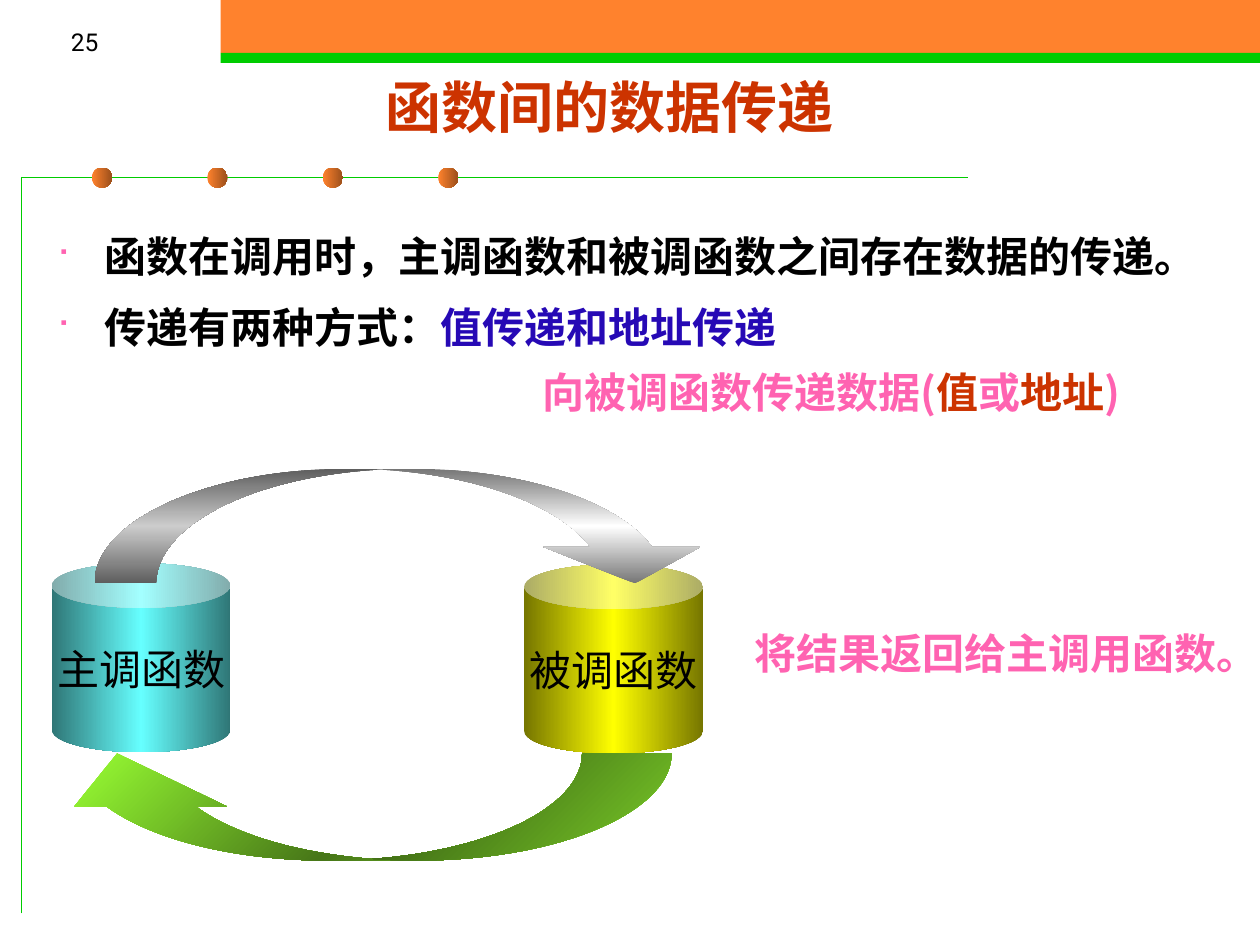
import math

import pptx
import pptx.dml.color
import pptx.enum.shapes
import pptx.enum.text
import pptx.oxml
import pptx.oxml.ns
import pptx.util
from pptx.util import Inches

SHAPE = pptx.enum.shapes.MSO_SHAPE
ALIGN = pptx.enum.text.PP_ALIGN
ANCHOR = pptx.enum.text.MSO_ANCHOR
CJK, LATIN = "Noto Sans CJK SC", "Roboto"
NS = pptx.oxml.ns.nsdecls("a")
UNITS = 1000  # path units per inch

COLORS = {
    "orange": "FF822D", "green": "00CC00", "black": "000000",
    "red": "CC3300", "pink": "FF63B1", "blue": "2609B5",
}
BALL = ["FF822D", "9B4F1B"]
BARS = [("orange", (1.75, 0, 8.25, 0.42)), ("green", (1.75, 0.42, 8.25, 0.08))]
CORNER_RULE = [(0.17, 7.25), (0.17, 1.41), (7.68, 1.41)]

# Each paragraph is a list of (text, colour) spans.
TEXTS = [
    {"at": (0, 0, 0.88, 0.5), "paras": [[("25", "black")]], "size": 14,
     "font": LATIN, "bold": False, "align": ALIGN.RIGHT, "anchor": ANCHOR.BOTTOM},
    {"at": (0.51, 0.52, 8.66, 0.65), "paras": [[("函数间的数据传递", "red")]],
     "size": 32, "align": ALIGN.CENTER, "anchor": ANCHOR.MIDDLE},
    {"at": (0.35, 1.7, 9.29, 5.12), "font": LATIN, "bullets": True, "paras": [
        [("函数在调用时，主调函数和被调函数之间存在数据的传递。", "black")],
        [("传递有两种方式：", "black"), ("值传递和地址传递", "blue")]]},
]
LABELS = [
    ((4.21, 2.86, 5.24, 0.57), [("向被调函数传递数据(", "pink"), ("值", "red"),
                                ("或", "pink"), ("地址", "red"), (")", "pink")]),
    ((5.89, 4.93, 4.38, 0.67), [("将结果返回给主调用函数。", "pink")]),
]
CANS = [
    ("主调函数", (0.41, 4.47), ["2F7676", "66FFFF", "2F7676"]),
    ("被调函数", (4.16, 4.48), ["767600", "FFFF00", "767600"]),
]
# Each ribbon follows two equal ellipses; head points run outer, tip, inner.
RADIUS = 2.02
ARROWS = [
    {"tail": 2.77, "head": 3.26, "base": 4.63, "rise": 0.91, "angle": 90,
     "points": [(5.56, 4.34), (5.04, 4.63), (4.31, 4.34)],
     "stops": ["767676", "FFFFFF", "767676"]},
    {"tail": 3.31, "head": 2.6, "base": 5.98, "rise": -0.85, "angle": 45,
     "points": [(0.59, 6.4), (0.93, 5.98), (1.8, 6.4)],
     "stops": ["99FF33", "477618", "99FF33"]},
]


def rgb(name):
    return pptx.dml.color.RGBColor.from_string(COLORS[name])


def fill_gradient(shape, stops, angle=0):
    shape.shadow.inherit = False
    shape.line.fill.background()
    shape.fill.background()
    gaps = len(stops) - 1
    marks = "".join(f'<a:gs pos="{100000 * i // gaps}"><a:srgbClr val="{color}"/></a:gs>'
                    for i, color in enumerate(stops))
    gradient = pptx.oxml.parse_xml(
        f'<a:gradFill {NS} rotWithShape="1"><a:gsLst>{marks}</a:gsLst>'
        f'<a:lin ang="{angle * 60000}" scaled="0"/></a:gradFill>')
    properties = shape.fill._xPr
    properties.replace(properties.find(pptx.oxml.ns.qn("a:noFill")), gradient)


def add_bullet(para):
    properties = para._p.get_or_add_pPr()
    properties.set("marL", str(Inches(0.38)))
    properties.set("indent", str(-Inches(0.38)))
    for item in (f'<a:buClr {NS}><a:srgbClr val="{COLORS["pink"]}"/></a:buClr>',
                 f'<a:buSzPct {NS} val="75000"/>',
                 f'<a:buFont {NS} typeface="Wingdings"/>',
                 f'<a:buChar {NS} char="■"/>'):
        properties.append(pptx.oxml.parse_xml(item))


def write(frame, paras, size=24, font=CJK, bold=True, align=ALIGN.LEFT,
          anchor=ANCHOR.TOP, bullets=False, wrap=True):
    frame.word_wrap = wrap
    frame.vertical_anchor = anchor
    for i, spans in enumerate(paras):
        para = frame.add_paragraph() if i else frame.paragraphs[0]
        para.alignment = align
        if bullets:
            add_bullet(para)
            para.line_spacing = 1.2
            para.space_before = pptx.util.Pt(6 if i else 0)
        for text, color in spans:
            span = para.add_run()
            span.text = text
            looks = {"name": font, "size": pptx.util.Pt(size), "bold": bold}
            for key, value in looks.items():
                setattr(span.font, key, value)
            span.font.color.rgb = rgb(color)
            span._r.get_or_add_rPr().append(
                pptx.oxml.parse_xml(f'<a:ea {NS} typeface="{CJK}"/>'))


def add_outline(page, points, close):
    scaled = [(round(x * UNITS), round(y * UNITS)) for x, y in points]
    builder = page.shapes.build_freeform(*scaled[0], scale=Inches(1) / UNITS)
    builder.add_line_segments(scaled[1:], close=close)
    shape = builder.convert_to_shape()
    shape.shadow.inherit = False
    return shape


def add_arrow(page, arrow):
    """Draw a ribbon whose two halves cross where the ellipses meet."""
    tail, head, base, rise, points = (
        arrow[key] for key in ("tail", "head", "base", "rise", "points"))
    ahead = math.copysign(1, head - tail)

    def arc(center, side, start, end):
        """Return the four Bezier points of a piece of an ellipse."""
        pull = 4 / 3 * math.tan((end - start) / 4)
        units = [(math.cos(t), math.sin(t)) for t in (start, end)]
        (c0, s0), (c1, s1) = units
        curve = [(c0, s0), (c0 - pull * s0, s0 + pull * c0),
                 (c1 + pull * s1, s1 - pull * c1), (c1, s1)]
        return [(center + side * RADIUS * x, base - rise * y) for x, y in curve]

    top = math.pi / 2
    cross = math.acos(abs(head - tail) / 2 / RADIUS)
    neck = math.asin((base - points[0][1]) / rise)
    outer_tail = arc(tail, -ahead, 0, top)
    inner_tail = arc(head, -ahead, cross, 0)
    ribbon = [outer_tail, arc(head, ahead, top, neck), *([p] for p in points),
              arc(tail, ahead, neck, cross), inner_tail]
    back = [outer_tail, arc(tail, -ahead, top, math.pi - cross), inner_tail]

    anchors = [p for piece in ribbon for p in (piece[0], piece[-1])]
    shape = add_outline(page, anchors, True)
    left, low = (min(p[axis] for p in anchors) for axis in (0, 1))
    paths = shape._element.spPr.find(".//" + pptx.oxml.ns.qn("a:pathLst"))
    outline = paths[0]

    def mark(tag, spots):
        marks = "".join(f'<a:pt x="{round((x - left) * UNITS)}" '
                        f'y="{round((y - low) * UNITS)}"/>' for x, y in spots)
        return f"<a:{tag}>{marks}</a:{tag}>"

    for pieces, shade in ((ribbon, "norm"), (back, "darkenLess")):
        steps = mark("moveTo", pieces[0][:1])
        for i, piece in enumerate(pieces):
            steps += mark("lnTo", piece[:1]) if i else ""
            steps += mark("cubicBezTo", piece[1:]) if len(piece) > 1 else ""
        paths.append(pptx.oxml.parse_xml(
            f'<a:path {NS} w="{outline.get("w")}" h="{outline.get("h")}" '
            f'fill="{shade}">{steps}<a:close/></a:path>'))
    paths.remove(outline)
    fill_gradient(shape, arrow["stops"], arrow["angle"])


def main():
    deck = pptx.Presentation()
    deck.slide_width, deck.slide_height = Inches(10), Inches(7.5)
    page = deck.slides.add_slide(deck.slide_layouts[6])

    for color, at in BARS:
        bar = page.shapes.add_shape(SHAPE.RECTANGLE, *map(Inches, at))
        bar.shadow.inherit = False
        bar.fill.solid()
        bar.fill.fore_color.rgb = rgb(color)
        bar.line.fill.background()
    rule = add_outline(page, CORNER_RULE, False)
    rule.fill.background()
    rule.line.color.rgb = rgb("green")
    rule.line.width = pptx.util.Pt(0.75)
    for i in range(4):
        at = (0.73 + 0.916 * i, 1.33, 0.16, 0.16)
        fill_gradient(page.shapes.add_shape(SHAPE.OVAL, *map(Inches, at)), BALL)

    for text in TEXTS:
        box = page.shapes.add_textbox(*map(Inches, text["at"]))
        write(box.text_frame, **{k: v for k, v in text.items() if k != "at"})
    for name, corner, stops in CANS:
        can = page.shapes.add_shape(SHAPE.CAN, *map(Inches, (*corner, 1.42, 1.5)))
        can.adjustments[0] = 0.25
        fill_gradient(can, stops)
        write(can.text_frame, [[(name, "black")]], bold=False, align=ALIGN.CENTER,
              anchor=ANCHOR.MIDDLE, wrap=False)
    for arrow, (at, spans) in zip(ARROWS, LABELS):
        add_arrow(page, arrow)
        label = page.shapes.add_shape(SHAPE.RECTANGLE, *map(Inches, at))
        label.shadow.inherit = False
        label.fill.background()
        label.line.fill.background()
        write(label.text_frame, [spans])
    deck.save("out.pptx")


if __name__ == "__main__":
    main()
